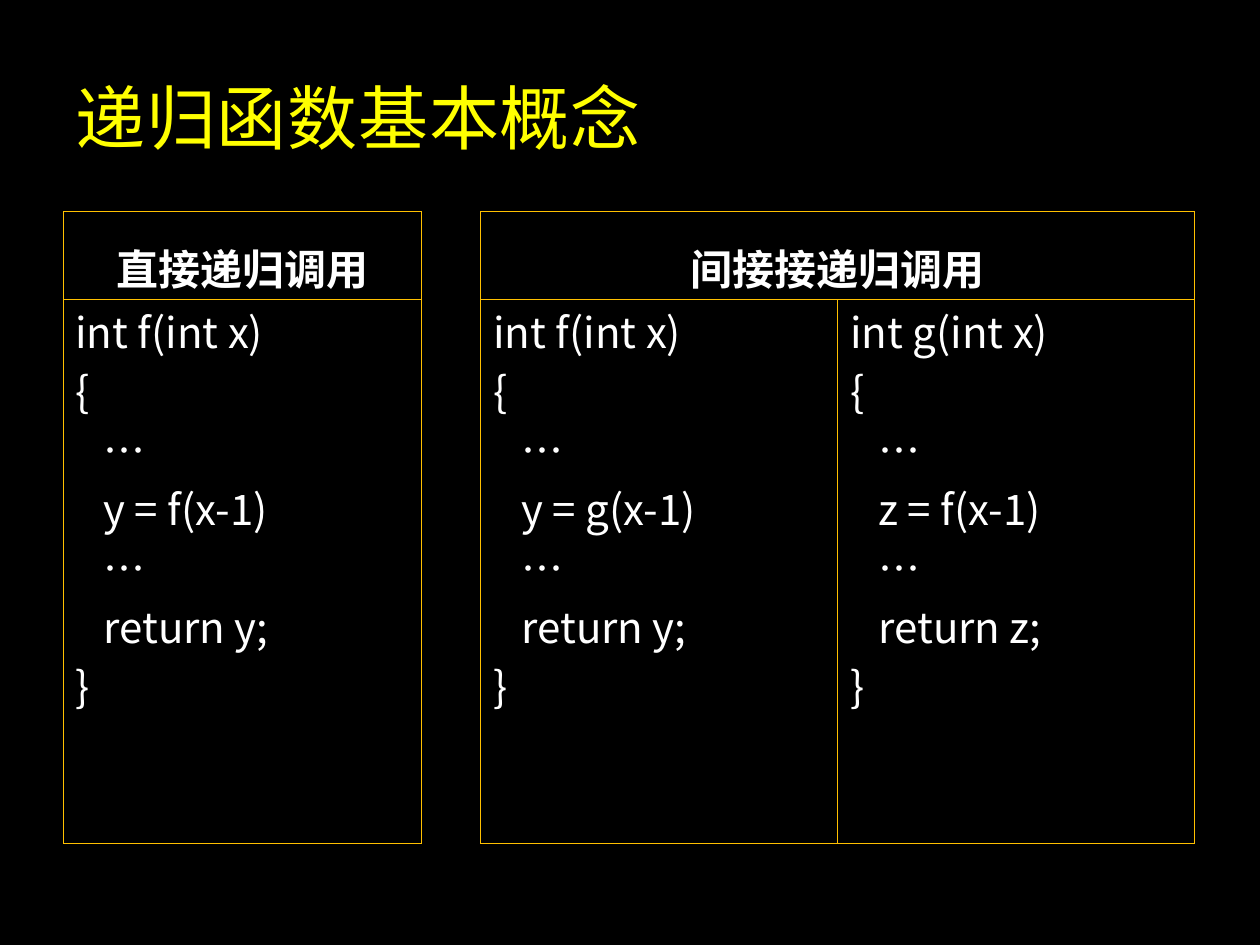
from dataclasses import dataclass

from lxml import etree
from pptx import Presentation
from pptx import util as u
from pptx.dml.color import RGBColor
from pptx.enum import shapes, text
from pptx.oxml import ns


@dataclass
class Theme:
    bg: str = "000000"
    title: str = "FFFF00"
    body: str = "FFFFFF"
    border: str = "FFC000"
    title_pt: int = 40
    body_pt: int = 24
    title_font: str = "Arial"
    body_font: str = "Noto Sans CJK SC"


T = Theme()
PX = u.Inches(1) / 126


def px(*lengths):
    return [round(n * PX) for n in lengths]


def write(sp, lines, size, color, font, bold=False):
    tf = sp.text_frame
    tf.word_wrap = True
    tf.text = "\n".join(lines)
    for i, p in enumerate(tf.paragraphs):
        p.alignment = text.PP_ALIGN.CENTER if bold else text.PP_ALIGN.LEFT
        if i:
            p.space_before = u.Pt(5)
        for r in p.runs:
            r.font.size = u.Pt(size)
            r.font.bold = bold
            r.font.name = font
            r.font.color.rgb = RGBColor.from_string(color)
            ea = etree.SubElement(r.font._element, ns.qn("a:ea"))
            ea.set("typeface", T.body_font)
    return tf


prs = Presentation()
prs.slide_width, prs.slide_height = px(1260, 945)
s = prs.slides.add_slide(prs.slide_layouts[6])
s.background.fill.solid()
s.background.fill.fore_color.rgb = RGBColor.from_string(T.bg)

title = s.shapes.add_textbox(*px(63, 38, 1071, 157))
tf = write(title, ["递归函数基本概念"], T.title_pt, T.title, T.title_font)
tf.vertical_anchor = text.MSO_ANCHOR.MIDDLE
tf.paragraphs[0].runs[0].font._element.set("spc", "50")

HEAD_TOP, HEAD_H, CODE_H = 212, 88, 544
CODE_TOP = HEAD_TOP + HEAD_H

groups = [
    ("直接递归调用", 63, 359, [("f", "y", "f")]),
    ("间接接递归调用", 481, 714, [("f", "y", "g"), ("g", "z", "f")]),
]

for heading, left, width, functions in groups:
    col_w = width // len(functions)
    boxes = [(left, HEAD_TOP, width, HEAD_H, [heading], True)]
    for i, (name, var, callee) in enumerate(functions):
        code = [
            f"int {name}(int x)",
            "{",
            "   …",
            f"   {var} = {callee}(x-1)",
            "   …",
            f"   return {var};",
            "}",
        ]
        boxes.append((left + i * col_w, CODE_TOP, col_w, CODE_H, code, False))

    for x, y, w, h, lines, is_head in boxes:
        sp = s.shapes.add_shape(shapes.MSO_SHAPE.RECTANGLE, *px(x, y, w, h))
        sp._element.remove(sp._element.find(ns.qn("p:style")))
        sp.shadow.inherit = False
        sp.fill.background()
        sp.line.color.rgb = RGBColor.from_string(T.border)
        tf = write(sp, lines, T.body_pt, T.body, T.body_font, is_head)
        tf.vertical_anchor = text.MSO_ANCHOR.BOTTOM if is_head else text.MSO_ANCHOR.TOP

prs.save("out.pptx")
